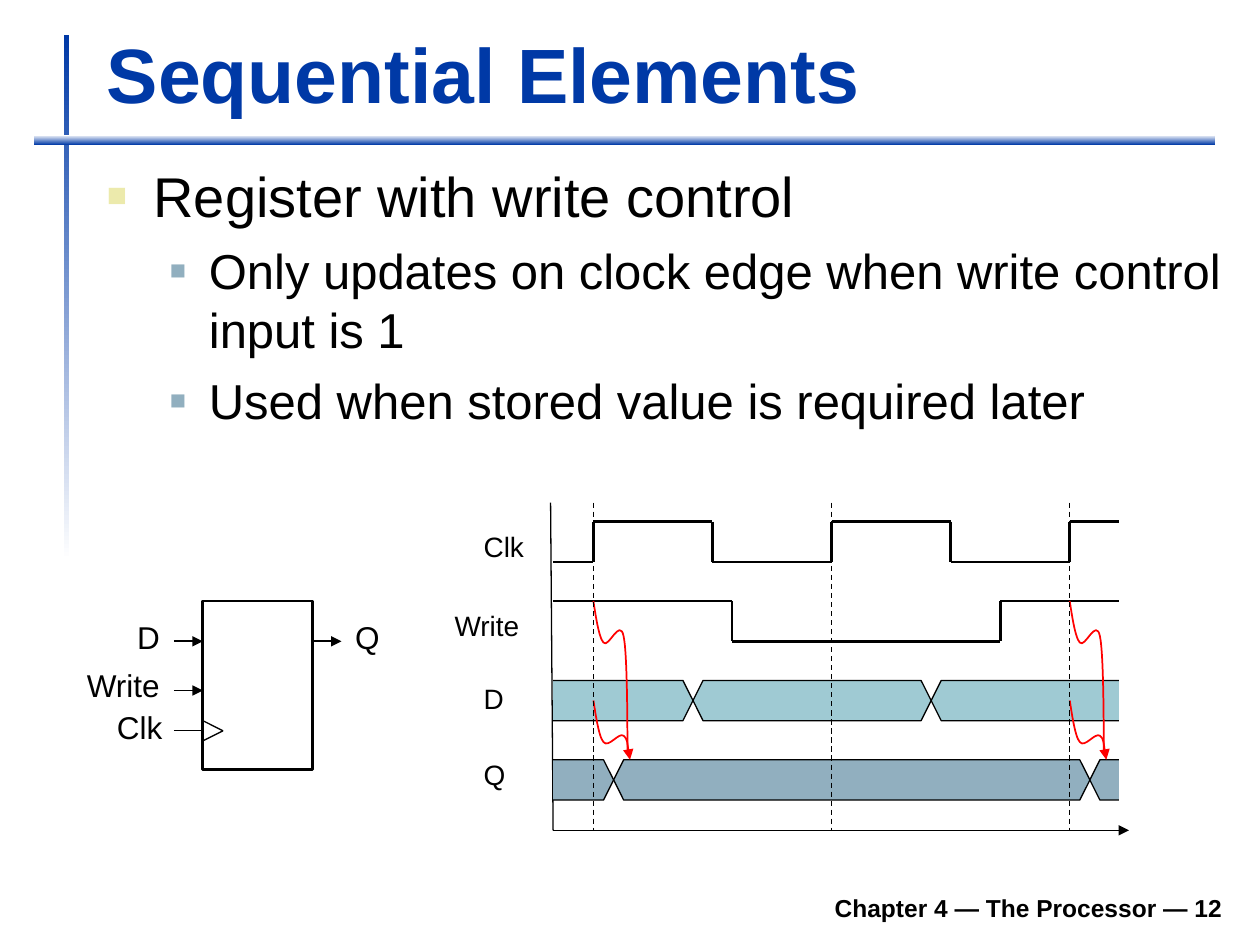
from itertools import pairwise
from lxml import etree
from pptx import Presentation
from pptx.dml.color import RGBColor
from pptx.enum.dml import MSO_LINE
from pptx.enum.shapes import MSO_CONNECTOR, MSO_SHAPE
from pptx.enum.text import MSO_ANCHOR, PP_ALIGN
from pptx.oxml.ns import qn
from pptx.util import Inches, Pt

STRAIGHT, RECTANGLE, DASH = MSO_CONNECTOR.STRAIGHT, MSO_SHAPE.RECTANGLE, MSO_LINE.DASH
TOP, BOTTOM = MSO_ANCHOR.TOP, MSO_ANCHOR.BOTTOM
LEFT, RIGHT = PP_ALIGN.LEFT, PP_ALIGN.RIGHT

COLORS = {"blue": "0039A6", "white": "FFFFFF", "black": "000000", "red": "FF0000",
          "sand": "ECEAAC", "steel": "91AFBF", "aqua": "9FCAD3"}
FONT = "Arial"

# Content
TITLE = "Sequential Elements"
FOOTER = "Chapter 4 — The Processor — 12"
BULLETS = [(0, "Register with write control"),
           (1, "Only updates on clock edge when write control input is 1"),
           (1, "Used when stored value is required later")]
# level: size, space before, margin, hanging indent, bullet colour, bullet percent
LEVELS = [(32, 8, 0.37, 0.37, "sand", 60), (28, 7, 0.81, 0.31, "steel", 55)]

# Register symbol: label, left, top, width
REGISTER = (1.61, 4.77, 0.87, 1.34)
PINS = [("D", 0.99, 4.86, 0.38), ("Write", 0.59, 5.24, 0.78),
        ("Clk", 0.83, 5.57, 0.56), ("Q", 2.72, 4.86, 0.39)]
PIN_LENGTH = 0.23

# Timing diagram: time runs across, one row per signal
START, END, FIRST_EDGE, PERIOD = 4.39, 8.88, 4.71, 1.89
ROW_TOP, ROW_PITCH, ROW_HEIGHT, SLANT = 4.14, 0.63, 0.32, 0.08
PLOT_TOP, PLOT_BOTTOM = 3.99, 6.59
EDGES = [FIRST_EDGE + PERIOD * cycle for cycle in range(3)]
HALF = PERIOD / 2
SIGNALS = [("Clk", 3.74, 4.15, 0.52), ("Write", 3.51, 4.78, 0.71),
           ("D", 3.74, 5.36, 0.36), ("Q", 3.74, 5.96, 0.37)]
# row, level at start, times at which the level flips
WAVES = [(0, 0, [EDGES[0], EDGES[0] + HALF, EDGES[1], EDGES[1] + HALF, EDGES[2]]),
         (1, 1, [5.81, 7.94])]
# row, colour, times at which the value changes
BUSES = [(2, "aqua", [5.5, 7.39]), (3, "steel", [4.87, 8.65])]
# Bezier points as offsets from a clock edge: top of curve, points, arrowhead
CAUSES = [(5.56, [(0, 0), (0.01, 0.06), (0.04, 0.29), (0.08, 0.33), (0.12, 0.38),
                  (0.2, 0.25), (0.24, 0.28), (0.27, 0.3), (0.28, 0.43), (0.29, 0.47)], True),
          (4.77, [(0, 0), (0.01, 0.06), (0.04, 0.29), (0.08, 0.33), (0.12, 0.38),
                  (0.21, 0.13), (0.24, 0.28), (0.27, 0.42), (0.27, 1.01), (0.27, 1.2)], False)]

deck = Presentation()
deck.slide_width, deck.slide_height = Inches(10), Inches(7.5)
page = deck.slides.add_slide(deck.slide_layouts[6])
shapes = page.shapes


def rgb(name):
    return RGBColor.from_string(COLORS[name])


def stroke(shape, width, color="black", arrow=False, dash=None):
    shape.line.color.rgb = rgb(color)
    shape.line.width = Pt(width)
    if dash:
        shape.line.dash_style = dash
    if arrow:
        outline = shape.element.spPr.find(qn("a:ln"))
        etree.SubElement(outline, qn("a:tailEnd"), type="triangle")


def add_line(start, end, width=0.75, **style):
    line = shapes.add_connector(STRAIGHT, *map(Inches, (*start, *end)))
    stroke(line, width, **style)
    etree.SubElement(line.element.spPr, qn("a:effectLst"))


def add_freeform(points, close):
    first, *others = [(Inches(x), Inches(y)) for x, y in points]
    builder = shapes.build_freeform(*first)
    builder.add_line_segments(others, close=close)
    shape = builder.convert_to_shape()
    shape.shadow.inherit = False
    return shape


def add_curve(points, arrow):
    """Draw a freeform and turn each three of its segments into one Bezier."""
    shape = add_freeform(points, close=False)
    shape.fill.background()
    stroke(shape, 1, "red", arrow)
    segments = list(shape.element.iter(qn("a:lnTo")))
    for first in range(0, len(segments), 3):
        curve = etree.Element(qn("a:cubicBezTo"))
        segments[first].addprevious(curve)
        for segment in segments[first:first + 3]:
            curve.append(segment[0])
            segment.getparent().remove(segment)


def add_text(area, text, size, color="black", bold=False, align=LEFT, anchor=TOP, wrap=True):
    box = shapes.add_textbox(*map(Inches, area))
    frame = box.text_frame
    frame.word_wrap, frame.vertical_anchor = wrap, anchor
    para = frame.paragraphs[0]
    para.text, para.alignment = text, align
    set_font(para, size, color, bold)


def set_font(para, size, color="black", bold=False):
    font = para.font
    font.name, font.size, font.bold = FONT, Pt(size), bold
    font.color.rgb = rgb(color)


def add_rule(area, angle):
    rule = shapes.add_shape(RECTANGLE, *map(Inches, area))
    rule.shadow.inherit = False
    rule.line.fill.background()
    rule.fill.gradient()
    rule.fill.gradient_angle = angle
    for stop, color in zip(rule.fill.gradient_stops, ("blue", "white")):
        stop.color.rgb = rgb(color)


# Frame rules, title and footer
add_rule((0.51, 0.28, 0.04, 4.17), 270)
add_rule((0.27, 1.07, 9.37, 0.08), 90)
add_text((1.85, 6.98, 7.95, 0.39), FOOTER, 14, bold=True, align=RIGHT, anchor=BOTTOM)
add_text((0.75, 0.16, 9.03, 0.83), TITLE, 44, "blue", bold=True, anchor=BOTTOM)

# Bullets
body = shapes.add_textbox(*map(Inches, (0.75, 1.23, 9.04, 2.52))).text_frame
body.word_wrap, body.margin_right = True, Inches(0.05)
for index, (level, text) in enumerate(BULLETS):
    size, before, margin, hang, color, percent = LEVELS[level]
    para = body.add_paragraph() if index else body.paragraphs[0]
    para.text, para.level, para.space_before = text, level, Pt(before)
    set_font(para, size)
    props = para._p.get_or_add_pPr()
    props.set("marL", str(Inches(margin)))
    props.set("indent", str(-Inches(hang)))
    marks = [etree.Element(qn("a:buClr")),
             etree.Element(qn("a:buSzPct"), val=str(percent * 1000)),
             etree.Element(qn("a:buFont"), typeface=FONT),
             etree.Element(qn("a:buChar"), char="■")]
    etree.SubElement(marks[0], qn("a:srgbClr"), val=COLORS[color])
    for mark in marks:
        props.find(qn("a:defRPr")).addprevious(mark)

# Register symbol
register = shapes.add_shape(RECTANGLE, *map(Inches, REGISTER))
register.shadow.inherit = False
register.fill.background()
stroke(register, 1.5)
side, far_side = REGISTER[0], REGISTER[0] + REGISTER[2]
for x, y, width, arrow in [(side - PIN_LENGTH, 5.09, 1, True), (side - PIN_LENGTH, 5.48, 1, True),
                           (side - PIN_LENGTH, 5.8, 0.75, False), (far_side, 5.09, 1, True)]:
    add_line((x, y), (x + PIN_LENGTH, y), width, arrow=arrow)
for y in (5.72, 5.88):
    add_line((side, y), (side + 0.16, 5.8))
for label, left, top, width in PINS:
    add_text((left, top, width, 0.4), label, 18, wrap=False)

# Axes and signal names
add_line((START, PLOT_BOTTOM), (8.96, PLOT_BOTTOM), arrow=True)
add_line((START, PLOT_BOTTOM), (START - 0.02, PLOT_TOP))
for label, left, top, width in SIGNALS:
    add_text((left, top, width, 0.37), label, 16, wrap=False)

# Two-level waves
for row, level, flips in WAVES:
    low = ROW_TOP + row * ROW_PITCH + ROW_HEIGHT
    corners = [(START, low - level * ROW_HEIGHT)]
    for time in flips:
        corners.append((time, low - level * ROW_HEIGHT))
        level = 1 - level
        corners.append((time, low - level * ROW_HEIGHT))
    corners.append((END, low - level * ROW_HEIGHT))
    for start, end in pairwise(corners):
        add_line(start, end, 1.5)

# Bus values, open at both ends of the plot
for row, color, changes in BUSES:
    top = ROW_TOP + row * ROW_PITCH
    middle, bottom = top + ROW_HEIGHT / 2, top + ROW_HEIGHT
    for begin, finish in pairwise([START, *changes, END]):
        head = [(begin, middle)] if begin != START else []
        tail = [(finish, middle)] if finish != END else []
        left = begin + SLANT * len(head)
        right = finish - SLANT * len(tail)
        if tail:
            outline = [(left, top), (right, top), *tail, (right, bottom), (left, bottom), *head]
        else:
            outline = [(right, top), (left, top), *head, (left, bottom), (right, bottom)]
        bus = add_freeform(outline, close=bool(head and tail))
        bus.fill.solid()
        bus.fill.fore_color.rgb = rgb(color)
        stroke(bus, 0.75)

# Cause-and-effect curves at the writing edges, then the clock edge guides
for edge in (EDGES[0], EDGES[2]):
    for top, offsets, arrow in CAUSES:
        add_curve([(edge + x, top + y) for x, y in offsets], arrow)
for edge in EDGES:
    add_line((edge, PLOT_TOP), (edge, PLOT_BOTTOM), dash=DASH)

deck.save("out.pptx")
